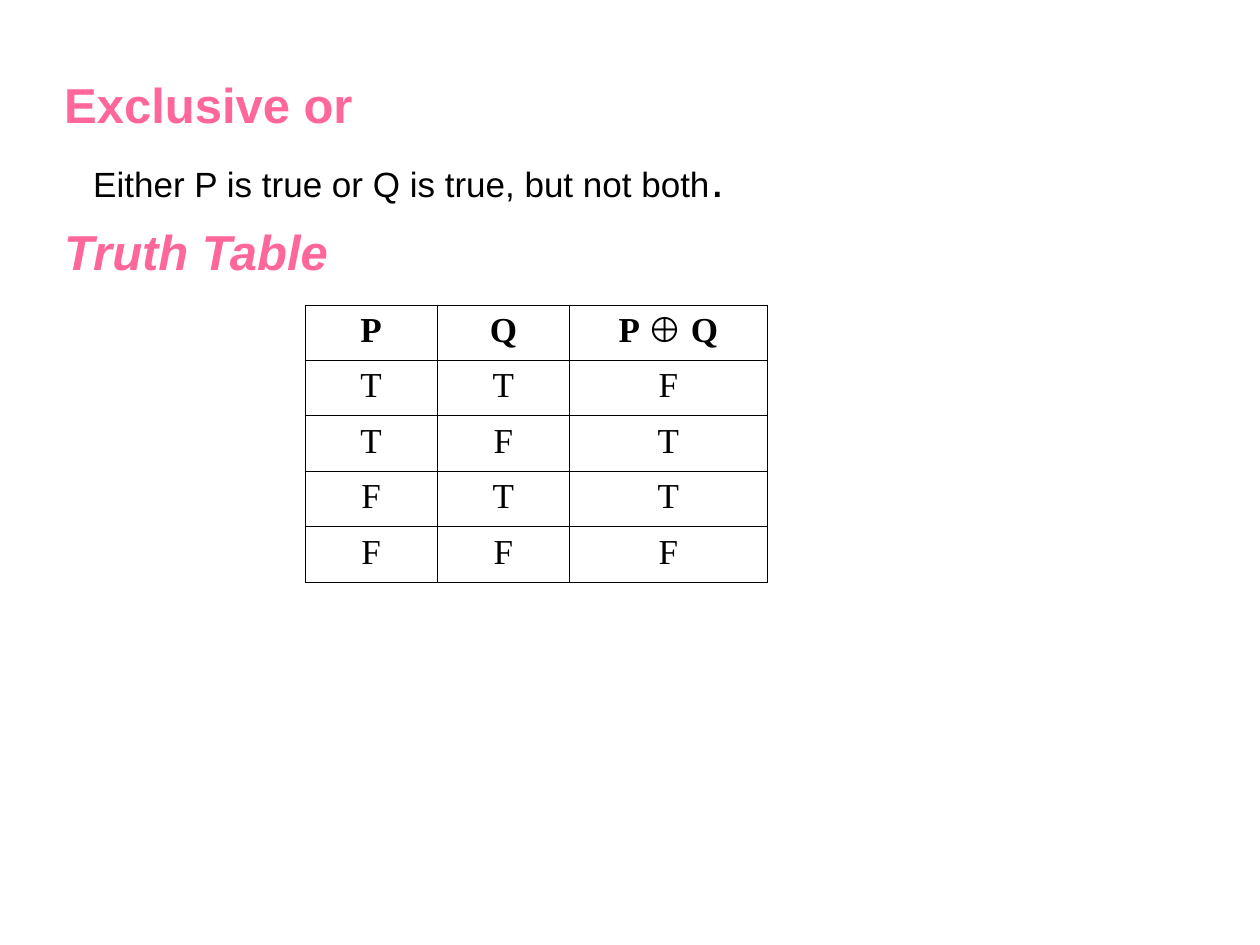
"""Build a slide that defines exclusive or and shows its truth table."""
from dataclasses import dataclass

import pptx
import pptx.dml.color
import pptx.enum.text
import pptx.oxml
import pptx.oxml.ns
import pptx.util
from pptx.util import Inches


@dataclass(frozen=True)
class Theme:
    pink: str = "FF6699"
    black: str = "000000"
    sans: str = "Arial"
    serif: str = "Times New Roman"
    head: float = 28
    body: float = 20
    gap: float = 8.5
    rule: float = 0.45


THEME = Theme()


def add_run(para, text, size, font, color, bold=False, slant=False):
    run = para.add_run()
    run.text = text
    run.font.size = pptx.util.Pt(size)
    run.font.name = font
    run.font.bold = bold
    run.font.italic = slant
    run.font.color.rgb = pptx.dml.color.RGBColor.from_string(color)


def add_text(slide, lines):
    box = slide.shapes.add_textbox(Inches(0.42), Inches(0.5), Inches(9), Inches(6.25))
    frame = box.text_frame
    frame.word_wrap = True
    frame.margin_left = frame.margin_top = Inches(0.09)
    for row, (indent, runs) in enumerate(lines):
        para = frame.add_paragraph() if row else frame.paragraphs[0]
        if row:
            para.space_before = pptx.util.Pt(THEME.gap)
        props = para._p.get_or_add_pPr()
        props.set("marL", str(Inches(indent)))
        props.set("indent", "0")
        for run in runs:
            add_run(para, *run)


def add_rules(cell):
    props = cell._tc.get_or_add_tcPr()
    for side in ("lnL", "lnR", "lnT", "lnB"):
        props.append(pptx.oxml.parse_xml(
            f'<a:{side} {pptx.oxml.ns.nsdecls("a")} w="{pptx.util.Pt(THEME.rule)}">'
            f'<a:solidFill><a:srgbClr val="{THEME.black}"/></a:solidFill></a:{side}>'))


def add_grid(slide, rows, widths, height):
    shape = slide.shapes.add_table(
        len(rows), len(widths), Inches(2.42), Inches(2.42),
        Inches(sum(widths)), Inches(height * len(rows)))
    table = shape.table
    table.first_row = table.horz_banding = False
    for col, width in zip(table.columns, widths):
        col.width = Inches(width)
    for r, row in enumerate(rows):
        for c, parts in enumerate(row):
            cell = table.cell(r, c)
            add_rules(cell)
            cell.fill.background()
            para = cell.text_frame.paragraphs[0]
            para.alignment = pptx.enum.text.PP_ALIGN.CENTER
            for part in parts:
                font = THEME.sans if part == "⊕" else THEME.serif
                add_run(para, part, THEME.body, font, THEME.black, r == 0)


def main():
    deck = pptx.Presentation()
    deck.slide_width, deck.slide_height = Inches(10), Inches(7.5)
    slide = deck.slides.add_slide(deck.slide_layouts[6])
    t = THEME
    add_text(slide, [
        (0, [("Exclusive or", t.head, t.sans, t.pink, True)]),
        (0.23, [("Either P is true or Q is true, but not both", t.body, t.sans, t.black),
                (".", t.head, t.sans, t.black)]),
        (0, [("Truth Table", t.head, t.sans, t.pink, True, True)]),
    ])
    head = [["P"], ["Q"], ["P ", "⊕", " Q"]]
    add_grid(slide, [head, "TTF", "TFT", "FTT", "FFF"], [1.05, 1.05, 1.57], 0.44)
    deck.save("out.pptx")


if __name__ == "__main__":
    main()
